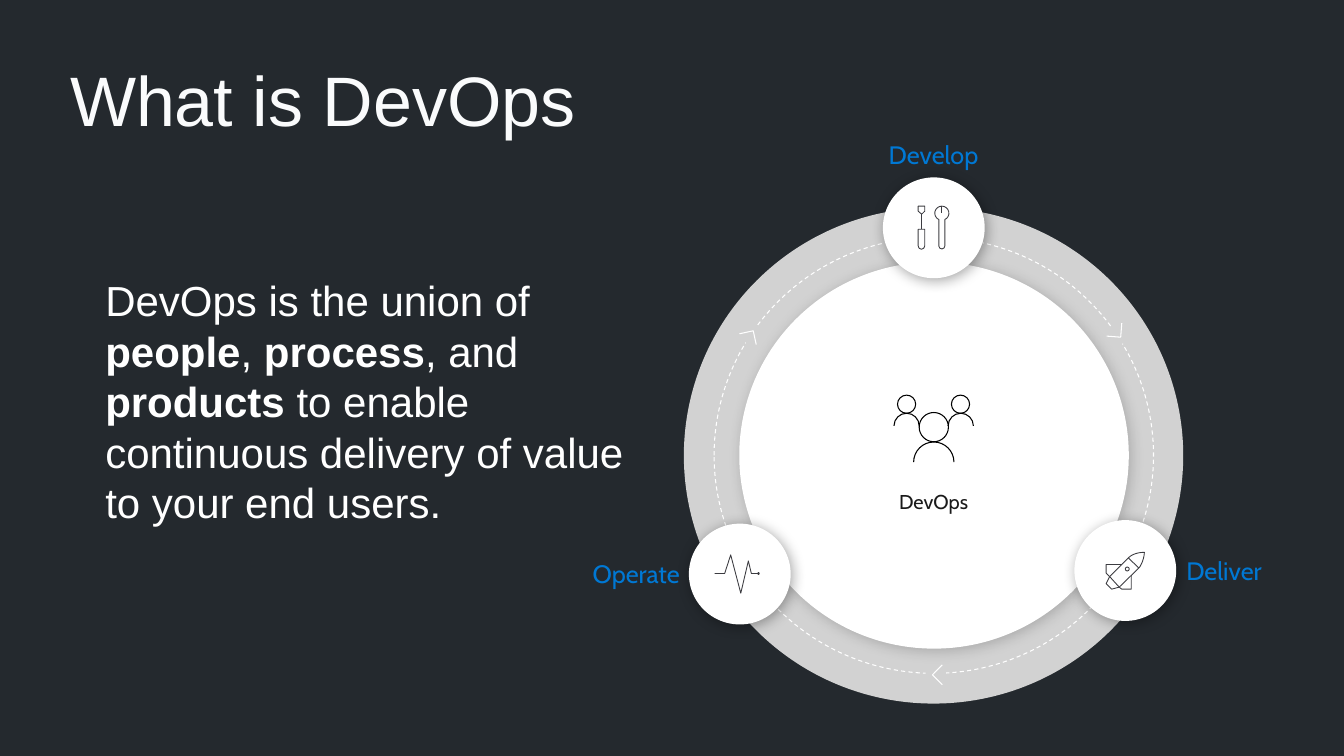
from math import ceil, cos, radians, sin, tan

from lxml import etree
from pptx import Presentation
from pptx.dml.color import RGBColor
from pptx.enum.dml import MSO_LINE
from pptx.enum.shapes import MSO_SHAPE
from pptx.enum.text import MSO_ANCHOR, PP_ALIGN
from pptx.oxml.ns import qn
from pptx.util import Inches, Pt

COLORS = {
    "background": "24292E", "title": "FAFBFC", "white": "FFFFFF",
    "ring": "D2D2D2", "label": "0078D4", "dark": "1A1A1A",
    "icon": "3C3C41", "black": "000000",
}


def rgb(name):
    return RGBColor.from_string(COLORS[name])


def add_run(p, text, size=36, font="Cabin", color="label", bold=False):
    r = p.add_run()
    r.text = text
    r.font.size, r.font.name, r.font.bold = Pt(size), font, bold
    r.font.color.rgb = rgb(color)


def arc(cx, cy, radius, start=0, end=360):
    """Start point, then Bezier curves (three points each), clockwise from the right."""
    count = ceil((end - start) / 90)
    step = radians((end - start) / count)
    k = 4 / 3 * tan(step / 4)

    def point(a, pull=0):
        return (round(cx + radius * (cos(a) - pull * sin(a)), 3),
                round(cy + radius * (sin(a) + pull * cos(a)), 3))

    angles = [radians(start) + step * i for i in range(count + 1)]
    curves = [point(a, k) + point(b, -k) + point(b) for a, b in zip(angles, angles[1:])]
    return [point(angles[0])] + curves


def loop(steps):
    return steps + steps[:1]


class SlideBuilder:
    def __init__(self, prs):
        self.slide = prs.slides.add_slide(prs.slide_layouts[6])
        fill = self.slide.background.fill
        fill.solid()
        fill.fore_color.rgb = rgb("background")

    def style(self, sp, fill=None, line=None, width=1.5, dash=None):
        sp.shadow.inherit = False
        if fill:
            sp.fill.solid()
            sp.fill.fore_color.rgb = rgb(fill)
        else:
            sp.fill.background()
        if line:
            sp.line.color.rgb = rgb(line)
            sp.line.width = Pt(width)
            if dash:
                sp.line.dash_style = dash
        else:
            sp.line.fill.background()

    def shape(self, kind, box, rotation=0, shadow=None, **style):
        sp = self.slide.shapes.add_shape(kind, *map(Inches, box))
        sp.rotation = rotation
        self.style(sp, **style)
        if shadow:
            effects = sp._element.spPr.find(qn("a:effectLst"))
            outer = etree.SubElement(
                effects, qn("a:outerShdw"), blurRad=str(Pt(20)), dist=str(Pt(4)),
                dir=str(45 * 60000), algn="ctr", rotWithShape="0")
            color = etree.SubElement(outer, qn("a:srgbClr"), val=COLORS["black"])
            etree.SubElement(color, qn("a:alpha"), val=str(shadow * 1000))

    def circle(self, box, **options):
        self.shape(MSO_SHAPE.OVAL, box, **options)

    def outline(self, contours, rotation=0, **style):
        """Each contour is a start point, then points (x, y) or curves (three points)."""
        builder, sizes = None, []
        for steps in contours:
            points = [(Inches(s[i]), Inches(s[i + 1]))
                      for s in steps for i in range(0, len(s), 2)]
            if builder:
                builder.move_to(*points[0])
            else:
                builder = self.slide.shapes.build_freeform(*points[0])
            builder.add_line_segments(points[1:], close=points[0] == points[-1])
            sizes += [len(s) // 2 for s in steps[1:]]
        sp = builder.convert_to_shape()
        # Turn each run of three curve points into one Bezier segment
        lines = iter(list(sp._element.iter(qn("a:lnTo"))))
        for size in sizes:
            segment = next(lines)
            if size == 3:
                segment.tag = qn("a:cubicBezTo")
                for _ in range(2):
                    extra = next(lines)
                    segment.append(extra[0])
                    extra.getparent().remove(extra)
        sp.rotation = rotation
        self.style(sp, **style)

    def text(self, box, runs, align=PP_ALIGN.LEFT, inset=(0.2, 0.16),
             wrap=False, **font):
        tf = self.slide.shapes.add_textbox(*map(Inches, box)).text_frame
        tf.word_wrap = wrap
        tf.vertical_anchor = MSO_ANCHOR.MIDDLE
        tf.margin_left = tf.margin_right = Inches(inset[0])
        tf.margin_top = tf.margin_bottom = Inches(inset[1])
        p = tf.paragraphs[0]
        p.alignment = align
        for text, bold in runs:
            add_run(p, text, bold=bold, **font)


def main():
    prs = Presentation()
    prs.slide_width, prs.slide_height = Inches(26.67), Inches(15)
    s = SlideBuilder(prs)

    # Title and definition
    s.text((1.39, 0.84, 23.89, 2.22), [("What is DevOps", False)],
           inset=(0, 0), wrap=True, size=100, font="Arial", color="title")
    s.text((2.03, 5.22, 10.6, 5.47),
           [("DevOps is the union of ", False), ("people", True), (", ", False),
            ("process", True), (", and ", False), ("products", True),
            (" to enable continuous delivery of value to your end users.", False)],
           inset=(0.06, 0.06), wrap=True, size=60, font="Arial", color="white")

    # Ring with dashed track
    s.circle((13.57, 4.12, 9.91, 9.84), fill="ring")
    s.circle((14.17, 4.71, 8.72, 8.65), line="white", dash=MSO_LINE.DASH)

    # Direction arrows: a patch over the track and a chevron turned 45 degrees from it
    arrows = [((21.99, 6.43), (21.97, 6.4), 229.4),
              ((14.7, 6.43), (14.7, 6.59), 122.8),
              ((18.37, 13.19), (18.56, 13.25), 360)]
    for patch, (x, y), angle in arrows:
        s.shape(MSO_SHAPE.RECTANGLE, (*patch, 0.4, 0.39), angle % 360, fill="ring")
        s.outline([[(x, y + 0.28), (x, y), (x + 0.28, y)]], angle - 45,
                  fill="ring", line="white")

    # Centre disc, stage discs and labels
    s.circle((14.67, 5.2, 7.73, 7.67), fill="white", shadow=19)
    stages = [
        ("Develop", PP_ALIGN.CENTER, (17.14, 2.77, 2.77, 0.57), (17.52, 3.52)),
        ("Operate", PP_ALIGN.RIGHT, (11.33, 11.1, 2.36, 0.57), (13.67, 10.39)),
        ("Deliver", PP_ALIGN.LEFT, (23.34, 11.04, 2.77, 0.57), (21.32, 10.32)),
    ]
    for name, align, box, disc in stages:
        s.text(box, [(name, False)], align)
        s.circle((*disc, 2.02, 2), fill="white", shadow=35)
    s.text((17.14, 9.66, 2.77, 0.57), [("DevOps", False)], PP_ALIGN.CENTER,
           size=28.6, color="dark")

    # People icon: heads and shoulders
    people = [
        arc(18.53, 8.475, 0.29), arc(18.53, 9.17, 0.4, 180, 360),
        arc(17.99, 8.02, 0.18), arc(17.99, 8.45, 0.25, 180, 360),
        arc(19.06, 8.02, 0.18), arc(19.065, 8.45, 0.25, 180, 360),
    ]
    s.outline(people, line="black")

    # Stage icons
    tools = [
        loop(arc(18.69, 4.23, 0.14, 115, 425) + arc(18.69, 4.88, 0.06, 0, 180)),
        loop([(18.22, 4.55), (18.35, 4.55)] + arc(18.285, 4.88, 0.065, 0, 180)),
        loop([(18.35, 4.09), (18.22, 4.09), (18.22, 4.19), (18.29, 4.25),
              (18.35, 4.19)]),
        [(18.29, 4.25), (18.29, 4.55)],
        [(18.68, 4.09), (18.68, 4.23)],
    ]
    pulse = [
        [(14.18, 11.38), (14.38, 11.38), (14.5, 11.01), (14.7, 11.77),
         (14.85, 11.13), (14.91, 11.38), (15.03, 11.38)],
        arc(15.05, 11.38, 0.02),
    ]
    rocket = [
        [(22.71, 10.96), (22.7, 11.14, 22.61, 11.26, 22.61, 11.26),
         (22.21, 11.65), (22.06, 11.69), (21.95, 11.58), (22.02, 11.44),
         (22.39, 11.07), (22.51, 10.95, 22.71, 10.96, 22.71, 10.96)],
        [(22.39, 11.07), (22.6, 11.27)],
        [(22.26, 11.2), (21.95, 11.2), (21.95, 11.37), (22.02, 11.44)],
        [(22.02, 11.44), (22.21, 11.65), (22.26, 11.69), (22.45, 11.69),
         (22.45, 11.41)],
        arc(22.37, 11.29, 0.04),
    ]
    for icon in (tools, pulse, rocket):
        s.outline(icon, line="icon", width=1.25)

    prs.save("out.pptx")


if __name__ == "__main__":
    main()
